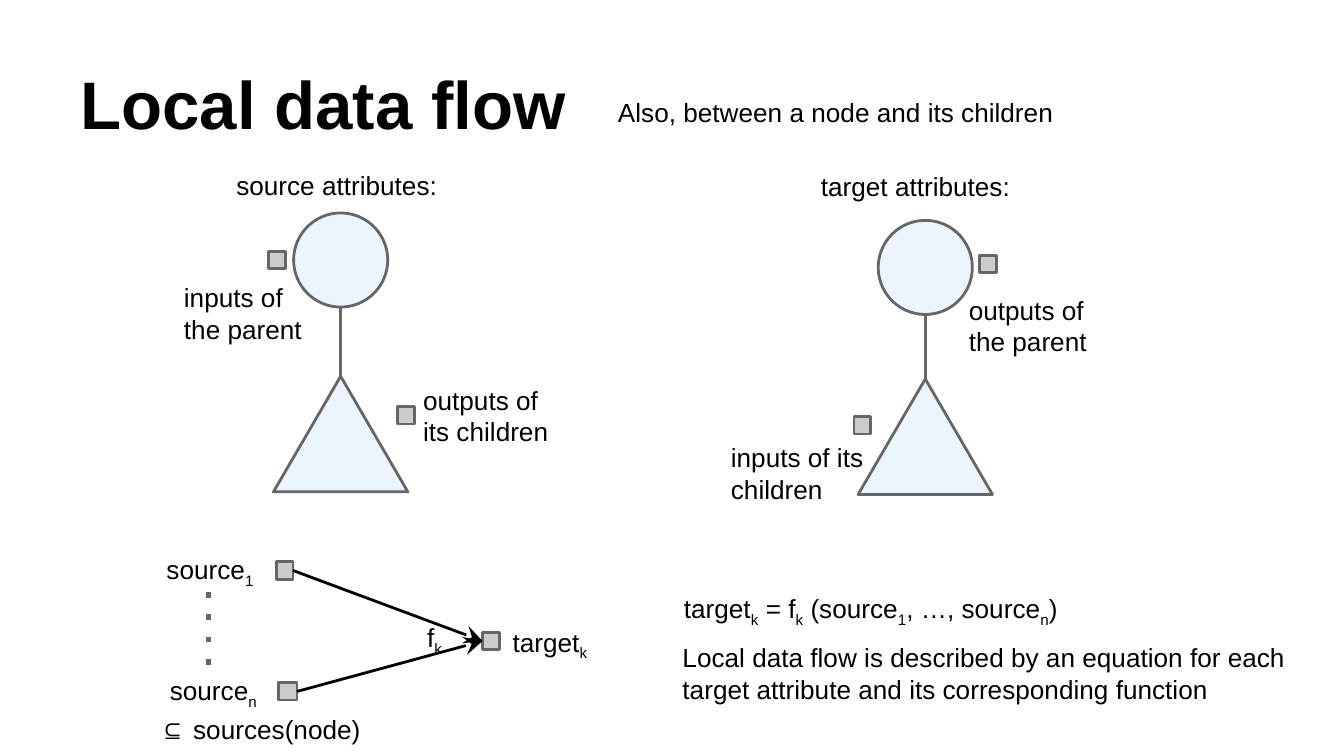
from lxml import etree
from pptx import Presentation
from pptx.dml.color import RGBColor
from pptx.enum.shapes import MSO_CONNECTOR, MSO_SHAPE
from pptx.enum.text import MSO_ANCHOR, MSO_AUTO_SIZE, PP_ALIGN
from pptx.oxml.ns import qn
from pptx.util import Emu, Pt

ELLIPSE, TRIANGLE, RECTANGLE = MSO_SHAPE.OVAL, MSO_SHAPE.ISOSCELES_TRIANGLE, MSO_SHAPE.RECTANGLE
STRAIGHT = MSO_CONNECTOR.STRAIGHT
LEFT, TOP, BOTTOM, NO_FIT = PP_ALIGN.LEFT, MSO_ANCHOR.TOP, MSO_ANCHOR.BOTTOM, MSO_AUTO_SIZE.NONE
TOP_SIDE, LEFT_SIDE, RIGHT_SIDE = 0, 1, 3
TITLE_ONLY = 5
EMU_PER_PX = 4572  # 200 px to the inch


def px(length):
    return Emu(length * EMU_PER_PX)


def color(hex_string):
    return RGBColor.from_string(hex_string)


class FlowPage:
    FONT = "Arial"
    INK, GREY = "000000", "666666"
    NODE_FILL, ATTRIBUTE_FILL = "EAF5FF", "CCCCCC"

    def __init__(self, deck):
        self.page = deck.slides.add_slide(deck.slide_layouts[TITLE_ONLY])
        self.shapes = self.page.shapes

    def format_text(self, box, size, bold=False, anchor=TOP):
        frame = box.text_frame
        frame.word_wrap = True
        frame.auto_size = NO_FIT
        frame.vertical_anchor = anchor
        frame.margin_left = frame.margin_right = px(20)
        frame.margin_top = frame.margin_bottom = px(20)
        for para in frame.paragraphs:
            para.alignment = LEFT
            for span in para.runs:
                span.font.name = self.FONT
                span.font.size = Pt(size)
                span.font.bold = bold
                span.font.color.rgb = color(self.INK)

    def title(self, text, left, top, width, height):
        box = self.shapes.title
        box.left, box.top, box.width, box.height = map(px, (left, top, width, height))
        box.text_frame.text = text
        self.format_text(box, 36, bold=True, anchor=BOTTOM)

    def label(self, left, top, width, height, *parts):
        """Every second part is set as a subscript."""
        box = self.shapes.add_textbox(*map(px, (left, top, width, height)))
        para = box.text_frame.paragraphs[0]
        for index, part in enumerate(parts):
            span = para.add_run()
            span.text = part
            if index % 2:
                span.font._element.set("baseline", "-25000")
        self.format_text(box, 14)

    def shape(self, kind, left, top, width, height, fill):
        box = self.shapes.add_shape(kind, *map(px, (left, top, width, height)))
        box.shadow.inherit = False
        box.fill.solid()
        box.fill.fore_color.rgb = color(fill)
        box.line.color.rgb = color(self.GREY)
        box.line.width = Pt(1.5)
        return box

    def attribute(self, left, top, width=25):
        return self.shape(RECTANGLE, left, top, width, 26, self.ATTRIBUTE_FILL)

    def line(self, start, end, ink, width=1.5):
        link = self.shapes.add_connector(STRAIGHT, *map(px, start + end))
        link.line.color.rgb = color(ink)
        link.line.width = Pt(width)
        etree.SubElement(link._element.spPr, qn("a:effectLst"))
        return link

    def dotted_line(self, start, end):
        link = self.line(start, end, self.GREY, 3)
        etree.SubElement(link.line._get_or_add_ln(), qn("a:prstDash"), val="dot")

    def arrow(self, source, target):
        link = self.line((0, 0), (0, 0), self.INK)
        link.begin_connect(source, RIGHT_SIDE)
        link.end_connect(target, LEFT_SIDE)
        etree.SubElement(link.line._get_or_add_ln(), qn("a:tailEnd"),
                         type="stealth", w="lg", len="lg")

    def tree(self, center, parent_top, child_top):
        """A parent node joined to the subtree below it."""
        self.shape(ELLIPSE, center - 70, parent_top, 140, 140, self.NODE_FILL)
        child = self.shape(TRIANGLE, center - 100, child_top, 200, 172, self.NODE_FILL)
        edge = self.line((center, child_top), (center, parent_top + 140), self.GREY)
        edge.begin_connect(child, TOP_SIDE)


def main():
    deck = Presentation()
    deck.slide_width, deck.slide_height = px(2000), px(1125)
    flow = FlowPage(deck)

    # Heading
    flow.title("Local data flow", 100, 45, 1800, 188)
    flow.label(900, 124, 746, 82, "Also, between a node and its children")

    # Source attributes
    flow.tree(507, 317, 560)
    flow.attribute(400, 374)
    flow.attribute(592, 605)
    flow.label(332, 232, 352, 96, "source attributes:")
    flow.label(254, 399, 222, 130, "inputs of the parent")
    flow.label(610, 552, 240, 130, "outputs of its children")

    # Target attributes
    flow.tree(1377, 328, 564)
    flow.attribute(1458, 380)
    flow.attribute(1271, 620)
    flow.label(1202, 234, 352, 96, "target attributes:")
    flow.label(1422, 418, 222, 130, "outputs of the parent")
    flow.label(1068, 637, 240, 130, "inputs of its children")

    # Sources flowing into one target
    first_source = flow.attribute(411, 836)
    last_source = flow.attribute(414, 1016, 28)
    target = flow.attribute(718, 941)
    for source in (first_source, last_source):
        flow.arrow(source, target)
    flow.dotted_line((310, 881), (310, 994))
    flow.label(228, 804, 196, 82, "source", "1")
    flow.label(233, 984, 196, 82, "source", "n")
    flow.label(743, 912, 158, 82, "target", "k")
    flow.label(616, 905, 74, 66, "f", "k")
    flow.label(218, 1042, 388, 96, "⊆ sources(node)")

    # Equation
    flow.label(998, 862, 612, 100,
               "target", "k", " = f", "k", " (source", "1", ", …, source", "n", ")")
    flow.label(996, 935, 988, 130,
               "Local data flow is described by an equation for each "
               "target attribute and its corresponding function")

    deck.save("out.pptx")


if __name__ == "__main__":
    main()
